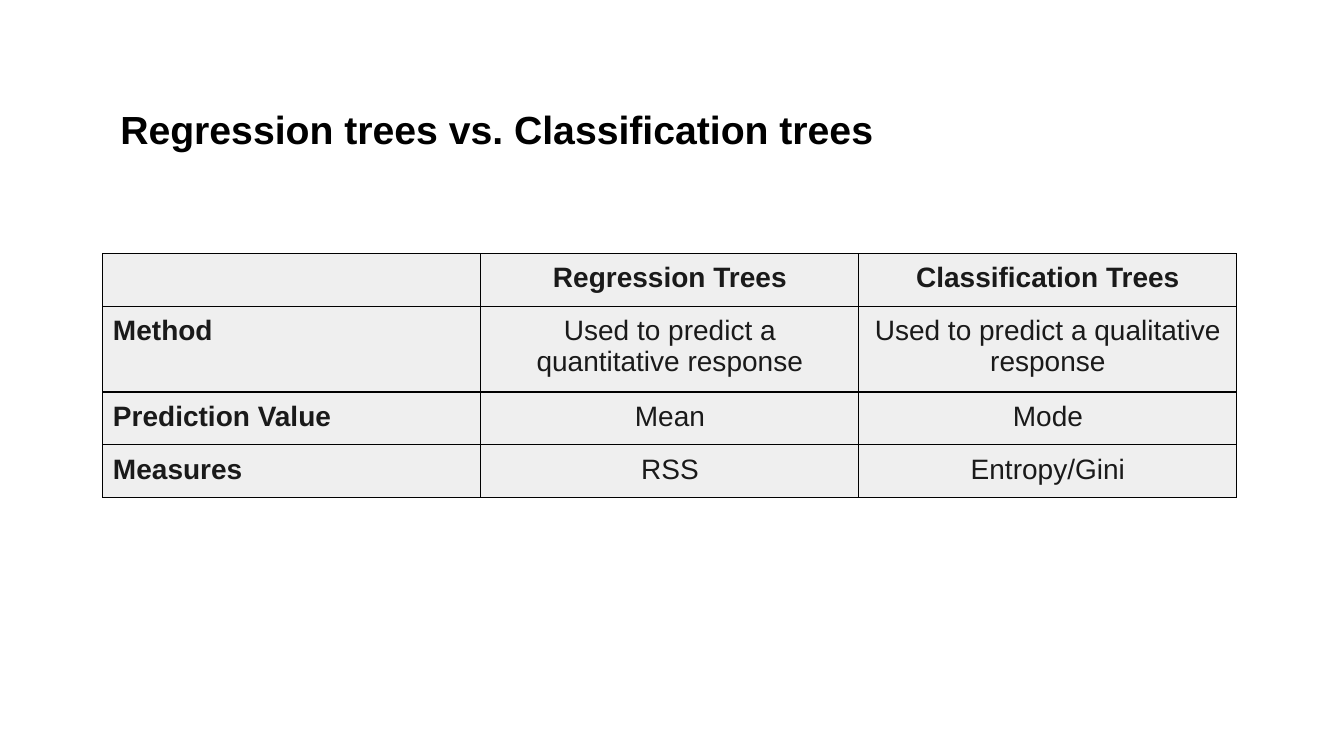
from dataclasses import dataclass

from lxml.etree import SubElement
from pptx import Presentation
from pptx.dml.color import RGBColor
from pptx.enum.text import MSO_ANCHOR, PP_ALIGN
from pptx.oxml.ns import qn
from pptx.slide import Slide
from pptx.table import _Cell
from pptx.text.text import _Paragraph
from pptx.util import Pt

FONT = "Arial"
BLACK, INK, GREY = "000000", "1A1A1A", "EFEFEF"


@dataclass
class Row:
    label: str
    regression: str
    classification: str
    height: float = 36.7
    header: bool = False


ROWS = [
    Row("", "Regression Trees", "Classification Trees", header=True),
    Row("Method", "Used to predict a quantitative response",
        "Used to predict a qualitative response", height=59),
    Row("Prediction Value", "Mean", "Mode"),
    Row("Measures", "RSS", "Entropy/Gini"),
]


def color(value: str) -> RGBColor:
    return RGBColor.from_string(value)


def add_run(p: _Paragraph, text: str, size: float, ink: str, bold: bool) -> None:
    r = p.add_run()
    r.text = text
    r.font.name = FONT
    r.font.size = Pt(size)
    r.font.bold = bold
    r.font.color.rgb = color(ink)


def add_borders(cell: _Cell, ink: str, width: float) -> None:
    # Border lines must come before the fill in the cell properties
    tc_pr = cell._tc.get_or_add_tcPr()
    for i, side in enumerate(("lnL", "lnR", "lnT", "lnB")):
        ln = SubElement(tc_pr, qn(f"a:{side}"), w=str(Pt(width)))
        SubElement(SubElement(ln, qn("a:solidFill")), qn("a:srgbClr"), val=ink)
        tc_pr.insert(i, ln)


def fill_cell(cell: _Cell, text: str, bold: bool, align: PP_ALIGN) -> None:
    cell.margin_left = cell.margin_right = Pt(7.2)
    cell.margin_top = cell.margin_bottom = Pt(7.2)
    cell.fill.solid()
    cell.fill.fore_color.rgb = color(GREY)
    add_borders(cell, BLACK, 1)
    if text:
        p = cell.text_frame.paragraphs[0]
        p.alignment = align
        p.line_spacing = 0.97
        add_run(p, text, 20, INK, bold)


def add_title(s: Slide, text: str) -> None:
    tf = s.shapes.add_textbox(Pt(76.3), Pt(64.1), Pt(807), Pt(56.2)).text_frame
    tf.word_wrap = True
    tf.vertical_anchor = MSO_ANCHOR.MIDDLE
    tf.margin_left = tf.margin_right = tf.margin_top = tf.margin_bottom = Pt(9.6)
    add_run(tf.paragraphs[0], text, 28, BLACK, True)


def add_comparison(s: Slide, rows: list[Row]) -> None:
    height = sum(row.height for row in rows)
    table = s.shapes.add_table(len(rows), 3, Pt(73.5), Pt(181.2),
                               Pt(810), Pt(height)).table
    table.horz_banding = False
    for i, row in enumerate(rows):
        table.rows[i].height = Pt(row.height)
        fill_cell(table.cell(i, 0), row.label, True, PP_ALIGN.LEFT)
        for j, text in enumerate((row.regression, row.classification), 1):
            fill_cell(table.cell(i, j), text, row.header, PP_ALIGN.CENTER)


def main() -> None:
    prs = Presentation()
    prs.slide_width, prs.slide_height = Pt(960), Pt(540)
    s = prs.slides.add_slide(prs.slide_layouts[6])
    add_title(s, "Regression trees vs. Classification trees")
    add_comparison(s, ROWS)
    prs.save("out.pptx")


if __name__ == "__main__":
    main()
